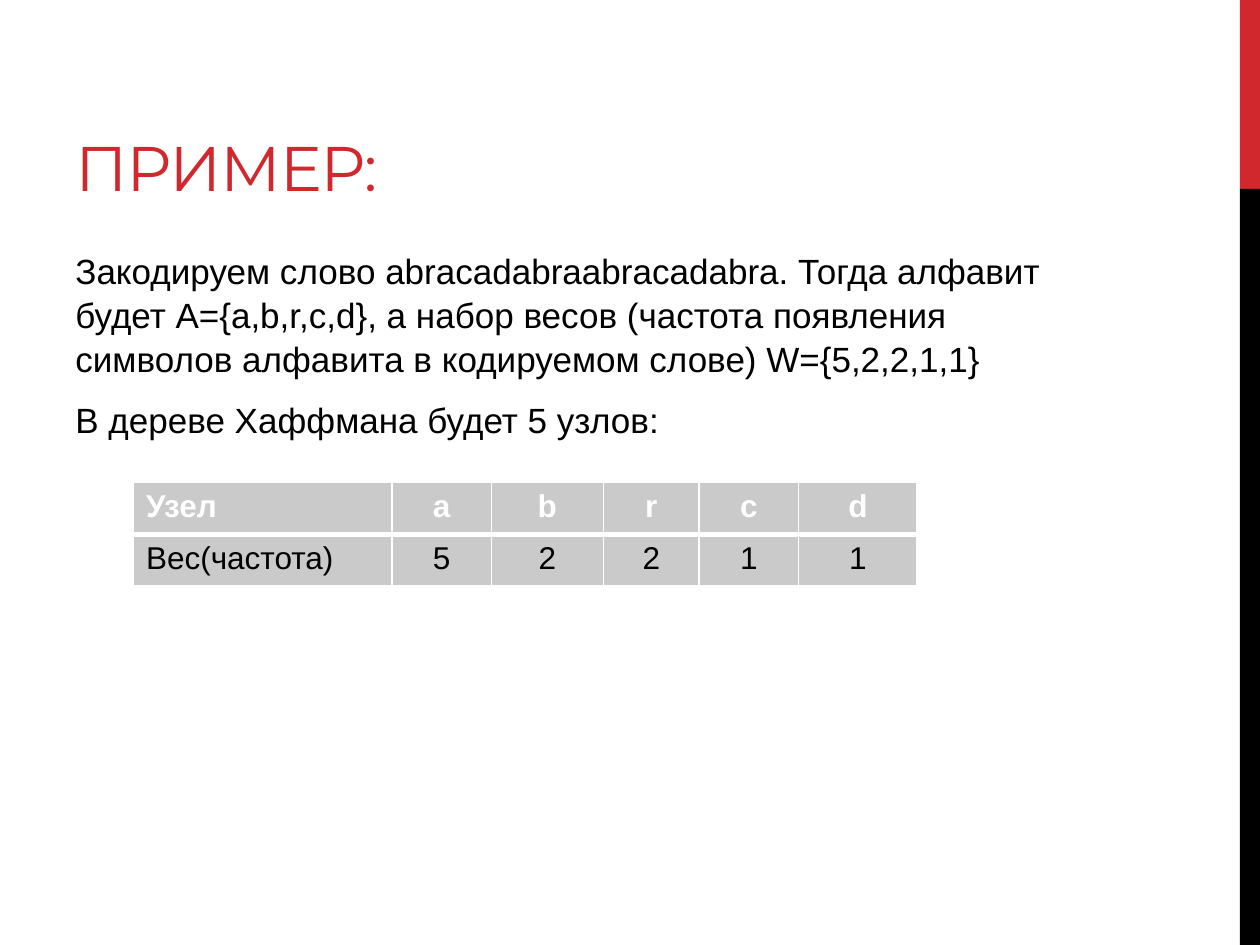
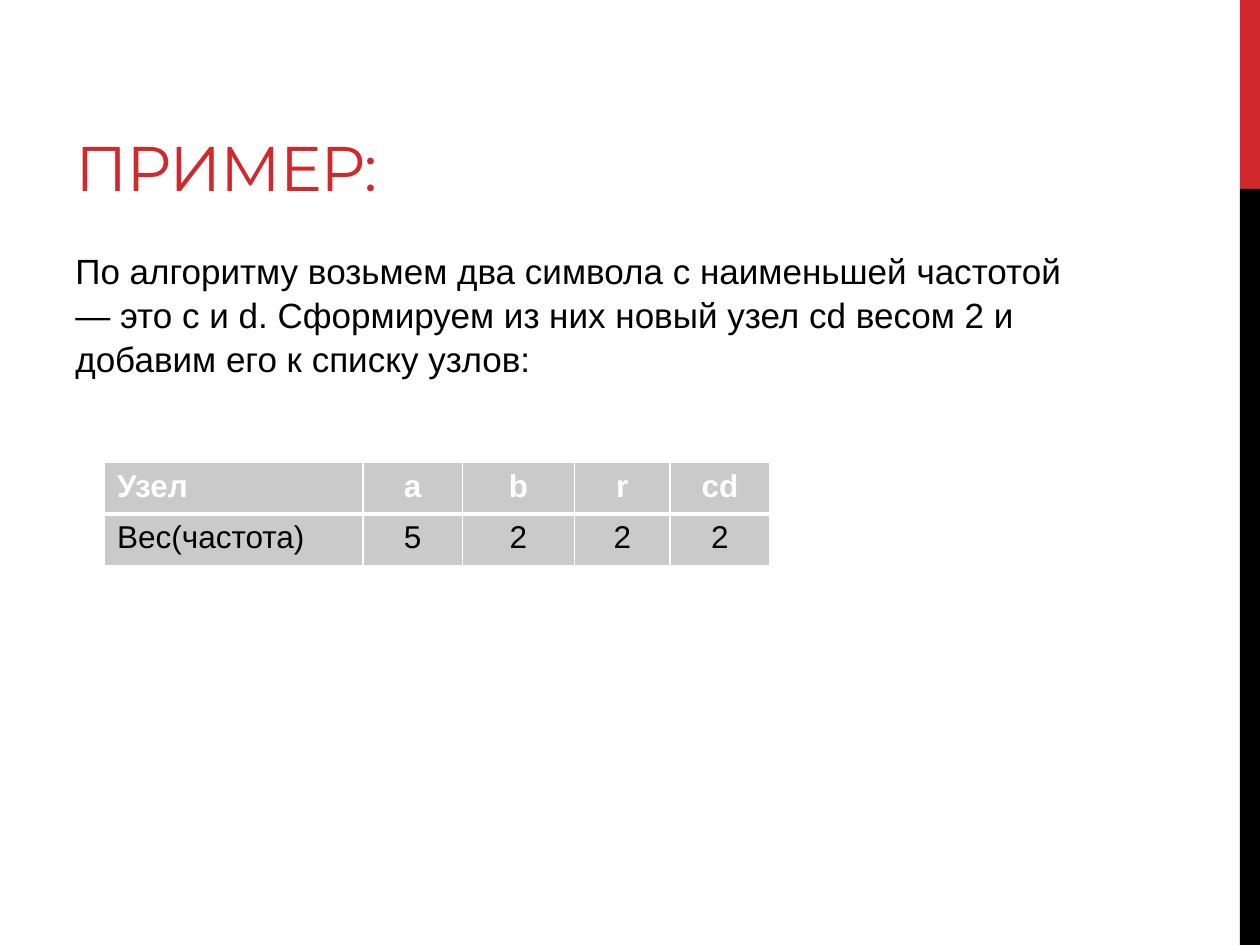
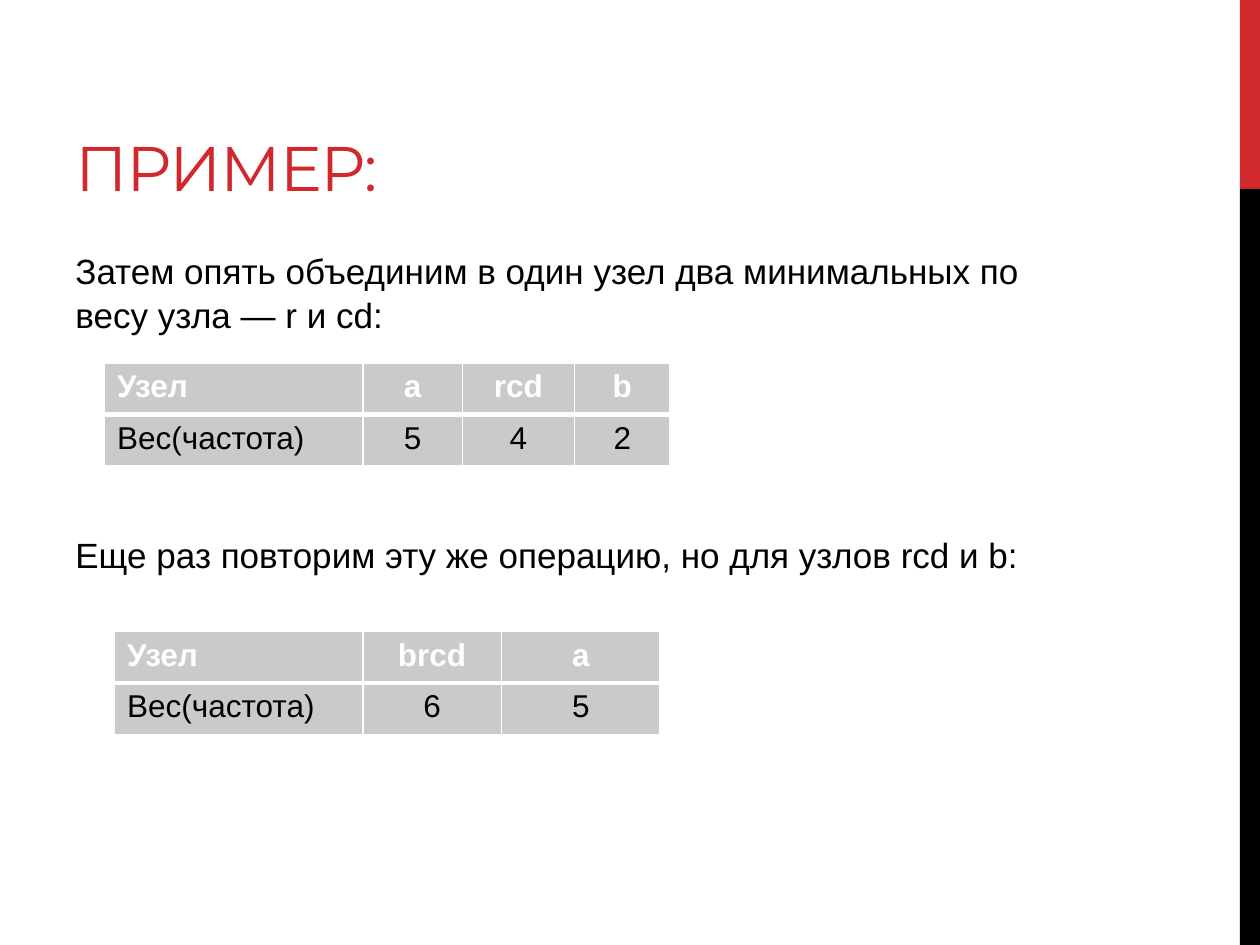
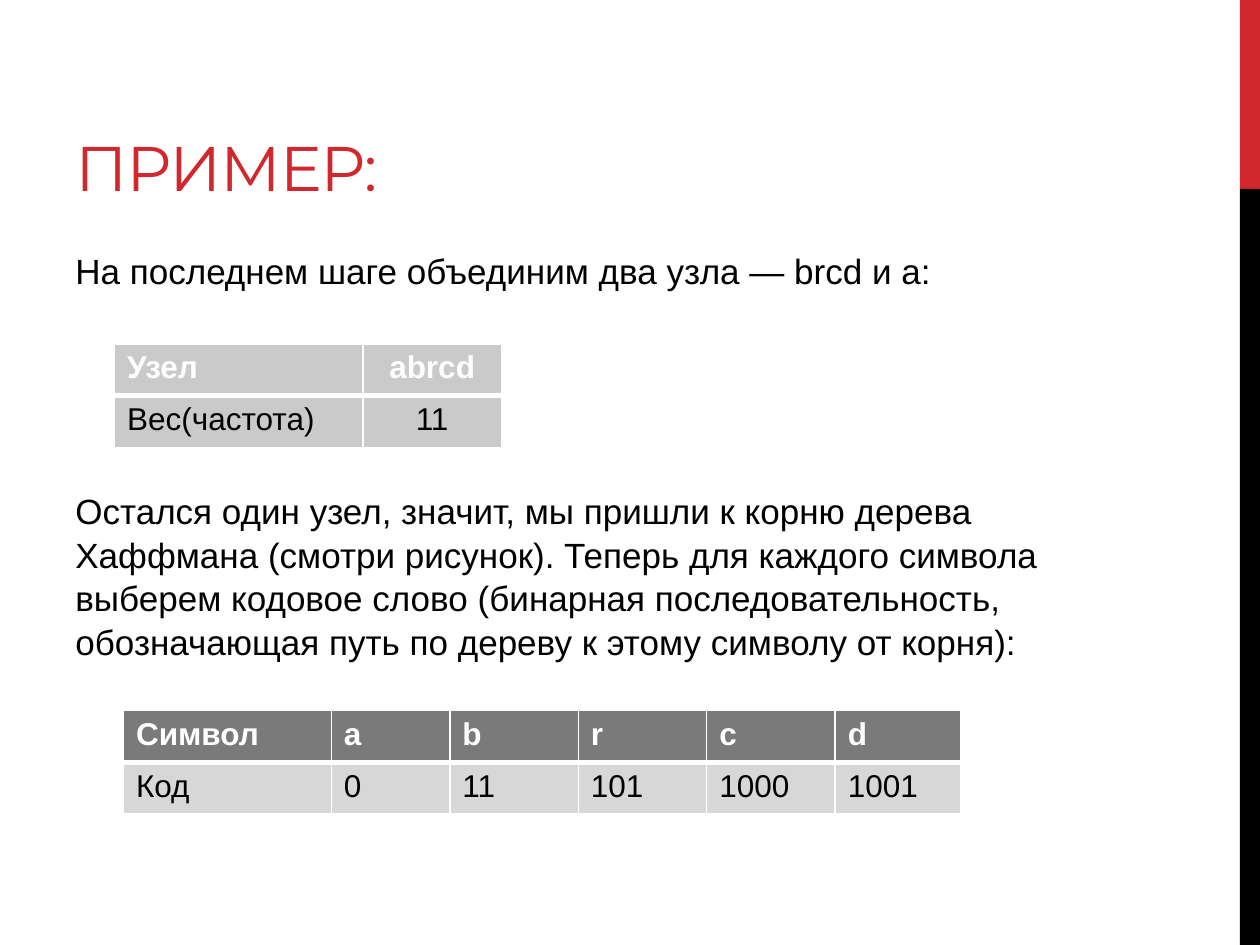
from dataclasses import dataclass

from lxml import etree
from pptx import Presentation
from pptx import util as u
from pptx.dml.color import RGBColor
from pptx.enum import shapes, text
from pptx.oxml import ns


@dataclass(frozen=True)
class Theme:
    """Colours, fonts and type sizes of the deck."""
    red: str = "D1282E"
    black: str = "000000"
    white: str = "FFFFFF"
    grey: str = "CACACA"
    dark_grey: str = "7A7A7A"
    light_grey: str = "D7D7D7"
    title_font: str = "Montserrat"
    body_font: str = "Arial"
    title_size: float = 36
    body_size: float = 20
    cell_size: float = 18
    line_spacing: float = 1.04
    before: float = 4
    after: float = 6
    table_gap: float = 106  # space before a paragraph that follows a table


@dataclass(frozen=True)
class Para:
    """A body paragraph and the space above it in points."""
    words: str
    before: float


@dataclass(frozen=True)
class Grid:
    """A two-row table: place, column widths, texts and fills."""
    left: float
    top: float
    widths: tuple[float, ...]
    header: tuple[str, ...]
    values: tuple[str, ...]
    header_fill: str
    value_fill: str
    centred: bool


@dataclass(frozen=True)
class Page:
    """The body paragraphs and tables of one slide."""
    paras: tuple[Para, ...]
    grids: tuple[Grid, ...]


T = Theme()
SLIDE_W, SLIDE_H = 10, 7.5
BAND_W, BAND_SPLIT = 0.16, 1.5
ROW_H = 0.41
TITLE = "ПРИМЕР:"
WIDE = (2.05, 0.79, 0.89, 0.76, 0.79, 0.94)
NARROW = (1.97, 1.1, 1.26)


def para(words: str, before: float = T.before) -> Para:
    """Make a body paragraph; a tilde stands for a no-break space."""
    return Para(words.replace("~", "\u00a0"), before)


def weights(left: float, top: float, widths: tuple[float, ...],
            nodes: dict[str, int]) -> Grid:
    """Make a table of tree nodes and their weights."""
    return Grid(left, top, widths[:len(nodes) + 1],
                ("Узел", *nodes), ("Вес(частота)", *map(str, nodes.values())),
                T.grey, T.grey, True)


def codes(left: float, top: float, widths: tuple[float, ...],
          words: dict[str, str]) -> Grid:
    """Make a table of symbols and their code words."""
    return Grid(left, top, widths, ("Символ", *words), ("Код", *words.values()),
                T.dark_grey, T.light_grey, False)


PAGES = (
    Page(
        (para("Закодируем слово~abracadabraabracadabra. Тогда алфавит "
              "будет~A={a,b,r,c,d}, а набор весов (частота появления "
              "символов алфавита в кодируемом слове)~W={5,2,2,1,1}"),
         para("В дереве Хаффмана будет~5~узлов:")),
        (weights(1.06, 3.83, WIDE, {"a": 5, "b": 2, "r": 2, "c": 1, "d": 1}),),
    ),
    Page(
        (para("По алгоритму возьмем два символа с наименьшей частотой "
              "— это~c~и~d. Сформируем из них новый узел~cd~весом~2~и "
              "добавим его к списку узлов:"),),
        (weights(0.83, 3.67, WIDE, {"a": 5, "b": 2, "r": 2, "cd": 2}),),
    ),
    Page(
        (para("Затем опять объединим в один узел два минимальных по "
              "весу узла —~r~и~cd:"),
         para("Еще раз повторим эту же операцию, но для узлов~rcd~и~b:",
              T.table_gap)),
        (weights(0.83, 2.88, WIDE, {"a": 5, "rcd": 4, "b": 2}),
         weights(0.91, 5.01, NARROW, {"brcd": 6, "a": 5})),
    ),
    Page(
        (para("На последнем шаге объединим два узла —~brcd~и~a:"),
         para("Остался один узел, значит, мы пришли к корню дерева "
              "Хаффмана (смотри рисунок). Теперь для каждого символа "
              "выберем кодовое слово (бинарная последовательность, "
              "обозначающая путь по дереву к этому символу от корня):",
              T.table_gap)),
        (weights(0.91, 2.73, NARROW, {"abrcd": 11}),
         codes(0.98, 5.64, (1.65, 0.94, 1.02, 1.02, 1.02, 1),
               {"a": "0", "b": "11", "r": "101", "c": "1000", "d": "1001"})),
    ),
)


def style(r, font: str, size: float, color: str, bold: bool = False) -> None:
    """Set the font of a run."""
    r.font.name, r.font.size, r.font.bold = font, u.Pt(size), bold
    r.font.color.rgb = RGBColor.from_string(color)


def add_band(s, top: float, height: float, color: str) -> None:
    """Draw one part of the band along the right edge."""
    sp = s.shapes.add_shape(shapes.MSO_SHAPE.RECTANGLE,
                            u.Inches(SLIDE_W - BAND_W), u.Inches(top),
                            u.Inches(BAND_W), u.Inches(height))
    sp.shadow.inherit = False
    sp.fill.solid()
    sp.fill.fore_color.rgb = RGBColor.from_string(color)
    sp.line.fill.background()


def add_box(s, left: float, top: float, width: float, height: float):
    """Add a wrapping text box and return its text frame."""
    tf = s.shapes.add_textbox(u.Inches(left), u.Inches(top),
                              u.Inches(width), u.Inches(height)).text_frame
    tf.word_wrap = True
    return tf


def add_title(s) -> None:
    """Write the slide title, resting on the bottom of its box."""
    tf = add_box(s, 0.5, 0.17, 6.33, 1.5)
    tf.vertical_anchor = text.MSO_ANCHOR.BOTTOM
    tf.text = TITLE
    r = tf.paragraphs[0].runs[0]
    style(r, T.title_font, T.title_size, T.red)
    r.font._element.set("spc", "-60")


def add_body(s, paras: tuple[Para, ...]) -> None:
    """Write the body paragraphs."""
    tf = add_box(s, 0.5, 1.92, 8.33, 4.78)
    for i, item in enumerate(paras):
        p = tf.add_paragraph() if i else tf.paragraphs[0]
        p.text = item.words
        p.line_spacing = T.line_spacing
        p.space_before, p.space_after = u.Pt(item.before), u.Pt(T.after)
        style(p.runs[0], T.body_font, T.body_size, T.black)


def set_borders(cell, top: float, bottom: float) -> None:
    """Give a cell white borders, with 1 pt sides."""
    tc_pr = cell._tc.get_or_add_tcPr()
    edges = {"lnL": 1, "lnR": 1, "lnT": top, "lnB": bottom}
    for i, (tag, width) in enumerate(edges.items()):
        ln = etree.Element(ns.qn(f"a:{tag}"), w=str(u.Pt(width)))
        fill = etree.SubElement(ln, ns.qn("a:solidFill"))
        etree.SubElement(fill, ns.qn("a:srgbClr"), val=T.white)
        tc_pr.insert(i, ln)


def add_grid(s, grid: Grid) -> None:
    """Draw a table with a bold header row and one row of values."""
    rows = ((grid.header, grid.header_fill, T.white, True, (1, 3)),
            (grid.values, grid.value_fill, T.black, False, (3, 1)))
    table = s.shapes.add_table(
        len(rows), len(grid.widths), u.Inches(grid.left), u.Inches(grid.top),
        u.Inches(sum(grid.widths)), u.Inches(ROW_H * len(rows))).table
    table.horz_banding = False
    for column, width in zip(table.columns, grid.widths):
        column.width = u.Inches(width)
    for row, (words, fill, color, bold, borders) in zip(table.rows, rows):
        row.height = u.Inches(ROW_H)
        for i, (cell, word) in enumerate(zip(row.cells, words)):
            cell.fill.solid()
            cell.fill.fore_color.rgb = RGBColor.from_string(fill)
            set_borders(cell, *borders)
            cell.text_frame.text = word
            p = cell.text_frame.paragraphs[0]
            if grid.centred and i:
                p.alignment = text.PP_ALIGN.CENTER
            style(p.runs[0], T.body_font, T.cell_size, color, bold)


def add_page(prs, page: Page) -> None:
    """Build one slide."""
    s = prs.slides.add_slide(prs.slide_layouts[6])
    add_band(s, 0, BAND_SPLIT, T.red)
    add_band(s, BAND_SPLIT, SLIDE_H - BAND_SPLIT, T.black)
    add_title(s)
    add_body(s, page.paras)
    for grid in page.grids:
        add_grid(s, grid)


def main() -> None:
    """Build and save the deck."""
    prs = Presentation()
    prs.slide_width, prs.slide_height = u.Inches(SLIDE_W), u.Inches(SLIDE_H)
    for page in PAGES:
        add_page(prs, page)
    prs.save("out.pptx")


main()
